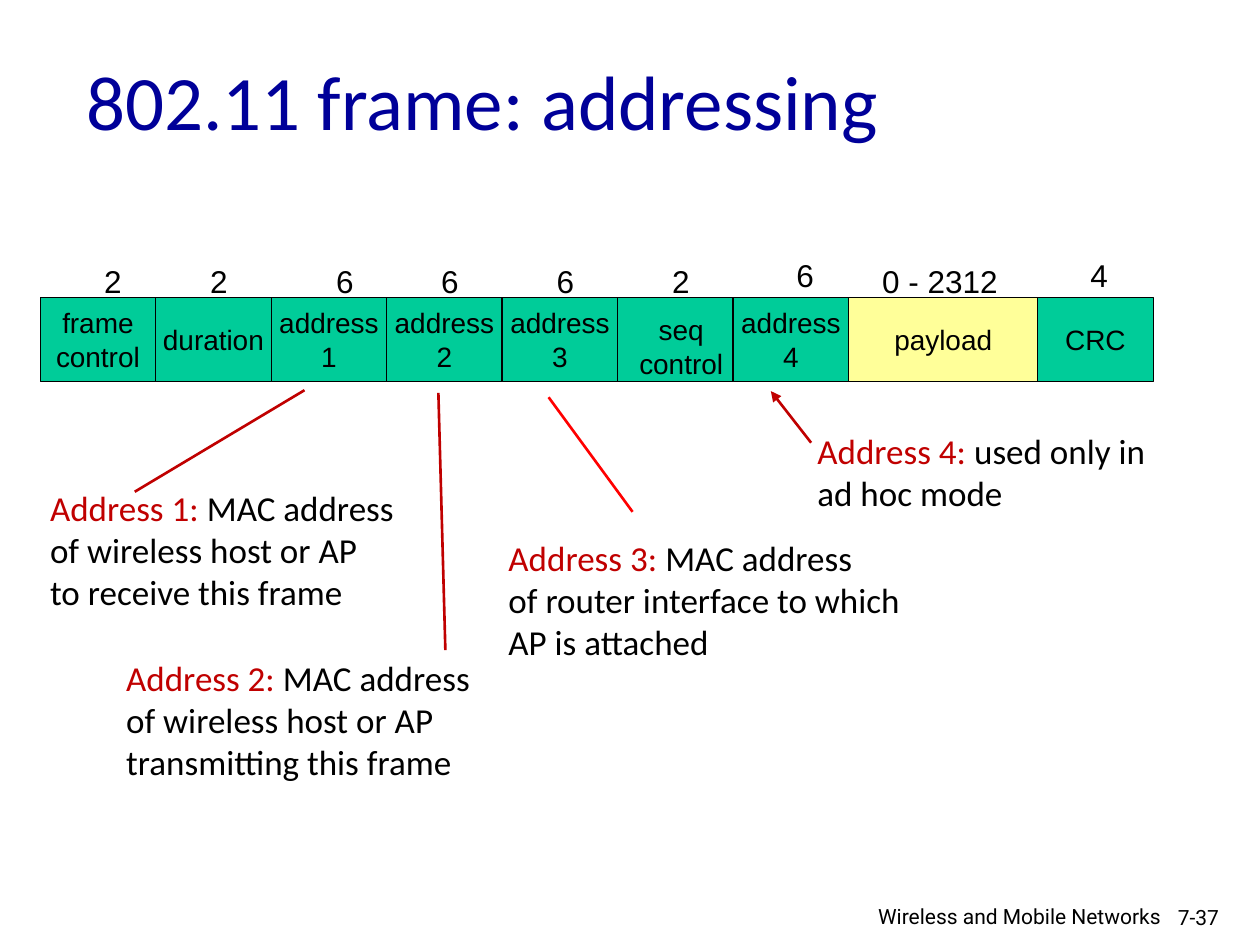
import pptx
import pptx.dml.color
import pptx.enum.shapes
import pptx.enum.text
import pptx.oxml.ns
import pptx.util
from lxml import etree

Pt = pptx.util.Pt
ALIGN = pptx.enum.text.PP_ALIGN
ANCHOR = pptx.enum.text.MSO_ANCHOR
BLACK, RED, GREEN, YELLOW = "000000", "C00000", "00CC99", "FFFF99"

# Frame fields: name lines, width, byte count, count left, count top
FRAME_LEFT, FRAME_TOP, FRAME_HEIGHT = 23, 170, 48
NARROW, WIDE = 66, 108
FIELDS = [
    (["frame", "control"], NARROW, "2", 52.5, 146),
    (["duration"], NARROW, "2", 113, 146),
    (["address", "1"], NARROW, "6", 185, 146),
    (["address", "2"], NARROW, "6", 245, 146),
    (["address", "3"], NARROW, "6", 311, 146),
    (["seq", "control"], NARROW, "2", 377, 146),
    (["address", "4"], NARROW, "6", 448, 143),
    (["payload"], WIDE, "0 - 2312", 497, 146),
    (["CRC"], NARROW, "4", 616, 143),
]

# Address notes: label, lines, (left, top, width, height), wrapped
NOTES = [
    ("Address 1: ", ["MAC address", "of wireless host or AP", "to receive this frame"],
     (21.5, 274.5, 215, 80), False),
    ("Address 2: ", ["MAC address", "of wireless host or AP", "transmitting this frame"],
     (65, 371.5, 215, 80), False),
    ("Address 3: ", ["MAC address", "of router interface to which AP is attached"],
     (283.5, 303, 240.5, 80), True),
    ("Address 4: ", ["used only in ad hoc mode"], (460, 242, 205, 55.5), True),
]

# Pointers from notes to fields: from x, from y, to x, to y, colour, arrowhead
POINTERS = [
    (77, 281, 174, 223, RED, False),
    (254.5, 371.5, 250.5, 224.5, RED, False),
    (361.5, 292.5, 313.5, 227, "FF0000", False),
    (463.5, 253, 440.5, 223.5, RED, True),
]


def colour(hex_code):
    return pptx.dml.color.RGBColor.from_string(hex_code)


def fill_text(frame, paragraphs, font, size, align=ALIGN.LEFT):
    """Write paragraphs, each a list of (text, colour) runs."""
    for index, runs in enumerate(paragraphs):
        para = frame.paragraphs[0] if index == 0 else frame.add_paragraph()
        para.alignment = align
        for text, hex_code in runs:
            span = para.add_run()
            span.text = text
            span.font.name = font
            span.font.size = Pt(size)
            span.font.color.rgb = colour(hex_code)


def add_text(page, place, paragraphs, font, size, align=ALIGN.LEFT, wrap=False):
    box = page.shapes.add_textbox(*map(Pt, place))
    box.text_frame.word_wrap = wrap
    box.text_frame.auto_size = pptx.enum.text.MSO_AUTO_SIZE.SHAPE_TO_FIT_TEXT
    fill_text(box.text_frame, paragraphs, font, size, align)


def add_title(page, text):
    title = page.shapes.title
    title.left, title.top, title.width, title.height = map(Pt, (42, 12, 505, 90))
    title.text_frame.vertical_anchor = ANCHOR.MIDDLE
    fill_text(title.text_frame, [[(text, "000099")]], "Calibri", 44)


def add_field(page, left, width, names):
    field = page.shapes.add_shape(
        pptx.enum.shapes.MSO_SHAPE.RECTANGLE,
        Pt(left), Pt(FRAME_TOP), Pt(width), Pt(FRAME_HEIGHT))
    field.shadow.inherit = False
    field.fill.solid()
    field.fill.fore_color.rgb = colour(YELLOW if width == WIDE else GREEN)
    field.line.color.rgb = colour(BLACK)
    field.line.width = Pt(0.75)
    paragraphs = [[(name, BLACK)] for name in names]
    if names[0] == "seq":  # this name sits low, in a box of its own
        add_text(page, (358, 175, 62.5, 46), paragraphs, "Arial", 16, ALIGN.CENTER)
        return
    field.text_frame.word_wrap = False
    field.text_frame.vertical_anchor = ANCHOR.MIDDLE
    fill_text(field.text_frame, paragraphs, "Arial", 16, ALIGN.CENTER)


def add_frame(page):
    left = FRAME_LEFT
    for names, width, count, count_left, count_top in FIELDS:
        add_field(page, left, width, names)
        count_width = 80.5 if width == WIDE else 24.5
        add_text(page, (count_left, count_top, count_width, 29),
                 [[(count, BLACK)]], "Arial", 18)
        left += width


def add_note(page, label, lines, place, wrap):
    paragraphs = [[(line, BLACK)] for line in lines]
    paragraphs[0].insert(0, (label, RED))
    add_text(page, place, paragraphs, "Calibri", 20, wrap=wrap)


def add_pointer(page, from_x, from_y, to_x, to_y, hex_code, arrow):
    pointer = page.shapes.add_connector(
        pptx.enum.shapes.MSO_CONNECTOR.STRAIGHT,
        Pt(from_x), Pt(from_y), Pt(to_x), Pt(to_y))
    pointer.line.color.rgb = colour(hex_code)
    pointer.line.width = Pt(1.5)
    if arrow:
        etree.SubElement(pointer.line._get_or_add_ln(),
                         pptx.oxml.ns.qn("a:tailEnd"), type="triangle")
    etree.SubElement(pointer._element.spPr, pptx.oxml.ns.qn("a:effectLst"))


def main():
    deck = pptx.Presentation()
    deck.slide_width, deck.slide_height = Pt(720), Pt(540)
    page = deck.slides.add_slide(deck.slide_layouts[5])

    add_title(page, "802.11 frame: addressing")
    add_frame(page)
    for pointer in POINTERS:
        add_pointer(page, *pointer)
    for note in NOTES:
        add_note(page, *note)

    # Footer
    add_text(page, (666, 513.5, 54, 21.5), [[("7-37", BLACK)]], "Roboto", 12, wrap=True)
    add_text(page, (461, 512.5, 212.5, 20), [[("Wireless and Mobile Networks ", BLACK)]],
             "Roboto", 12, ALIGN.RIGHT, wrap=True)

    deck.save("out.pptx")


if __name__ == "__main__":
    main()
